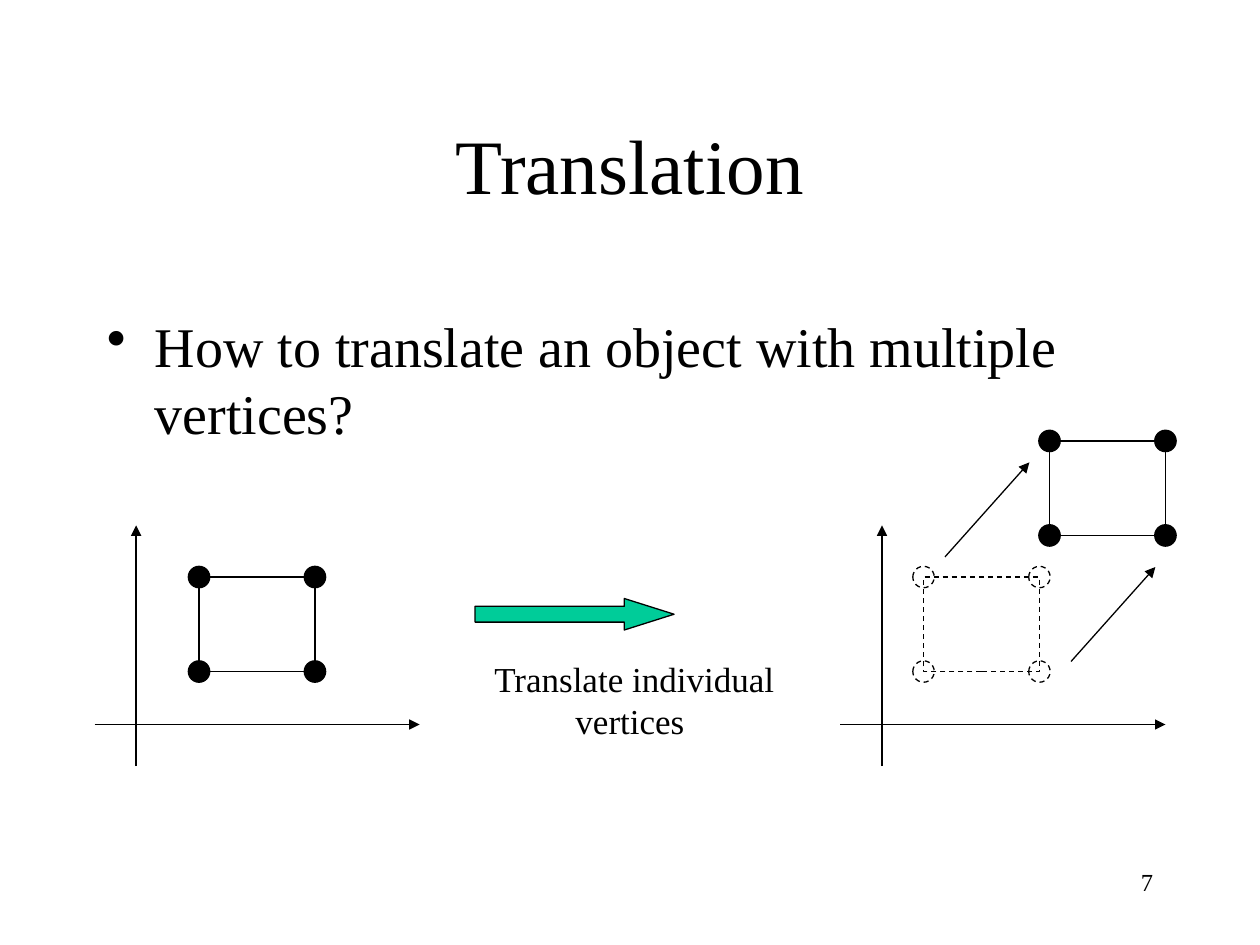
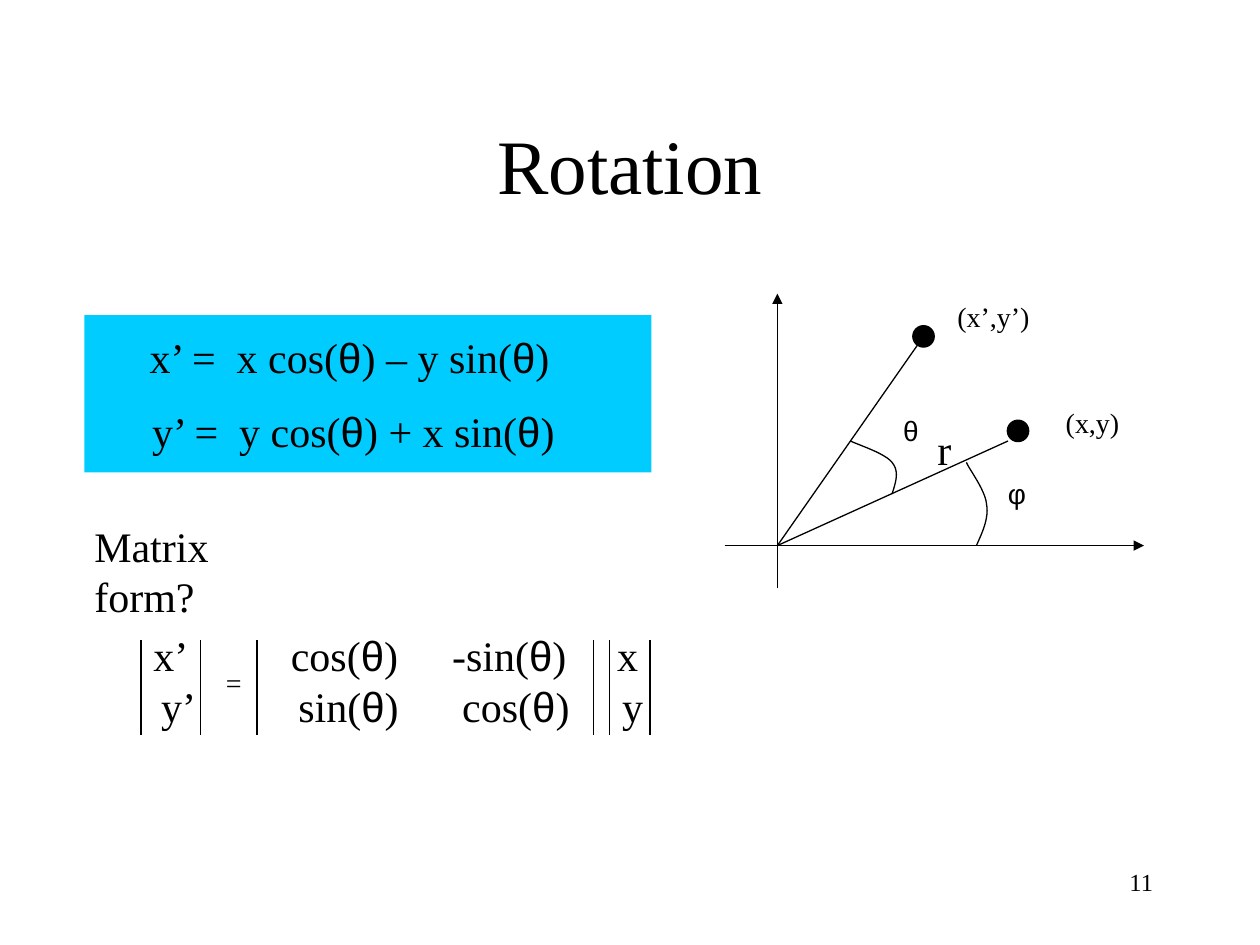
from itertools import groupby, product

from lxml import etree
from pptx import Presentation
from pptx.dml.color import RGBColor
from pptx.enum import dml, shapes, text
from pptx.oxml import ns
from pptx.util import Inches, Pt

# Shared look
BLACK = RGBColor(0x00, 0x00, 0x00)
GREEN = RGBColor(0x00, 0xCC, 0x99)
CYAN = RGBColor(0x00, 0xCC, 0xFF)
SERIF, SANS = "Times New Roman", "Arial"
GREEK = "θφ"
HAIRLINE = 0.75
DOT = 0.17
TITLE_AT = (0.75, 0.67, 8.5, 1.25)
NUMBER_AT = (7.17, 6.83, 2.08, 0.5)
LEFT, CENTER, RIGHT = (text.PP_ALIGN.LEFT, text.PP_ALIGN.CENTER,
                       text.PP_ALIGN.RIGHT)

# Translation content: squares are left, top, dashed
QUESTION = "How to translate an object with multiple vertices?"
STEP = ["Translate individual", "vertices "]
SQUARE_SIZE = (0.92, 0.75)
SQUARES = [(1.58, 4.58, False), (8.33, 3.5, False), (7.33, 4.58, True)]
AXES_LEFT_EDGES = [0.75, 6.67]
MOVES = [((7.5, 4.42), (8.17, 3.67)), ((8.5, 5.25), (9.17, 4.5))]

# Rotation content: labels are text, place, size
LABELS = [
    ("(x,y)", (8.36, 3.17, 0.68, 0.37), 16),
    ("(x’,y’)", (7.5, 2.33, 0.83, 0.37), 16),
    ("θ", (7.07, 3.23, 0.31, 0.37), 16),
    ("φ", (7.9, 3.73, 0.31, 0.37), 16),
    ("r", (7.34, 3.31, 0.31, 0.5), 24),
    ("x’ =  x cos(θ) – y sin(θ)", (1.09, 2.58, 3.54, 0.5), 24),
    ("y’ =  y cos(θ) + x sin(θ)", (1.11, 3.17, 3.56, 0.5), 24),
    ("Matrix form?", (0.65, 4.08, 1.98, 0.5), 24),
]
ORIGIN = (6.17, 4.33)
RAYS = [((8, 3.5), (8.08, 3.42)), ((7.33, 2.67), (7.33, 2.67))]  # end, dot
ANGLE_ARCS = [
    [(7.08, 3.92), (7.11, 3.83), (7.14, 3.74), (7.08, 3.67),
     (7.03, 3.6), (6.81, 3.53), (6.75, 3.5)],
    [(7.75, 4.33), (7.8, 4.22), (7.85, 4.11), (7.83, 4),
     (7.82, 3.89), (7.69, 3.72), (7.67, 3.67)],
]
MATRIX_AT = (1.0, 4.95, 4.4, 0.9)
MATRIX_ROWS = [["x’", "cos(θ)", "-sin(θ)", "x"],
               ["y’", "sin(θ)", "cos(θ)", "y"]]
MATRIX_STOPS = [[0.12, 1.21, 2.49, 3.8], [0.18, 1.27, 2.57, 3.84]]
MATRIX_BARS = [1.12, 1.59, 2.04, 4.71, 4.84, 5.16]


def inches(values):
    return [Inches(value) for value in values]


def add_xml(parent, tag, **attributes):
    return etree.SubElement(parent, ns.qn(tag), attributes)


def add_text(page, lines, at, size, align=LEFT, anchor=text.MSO_ANCHOR.TOP,
             wrap=True, bullet=False, before=0, stops=()):
    box = page.shapes.add_textbox(*inches(at))
    frame = box.text_frame
    frame.word_wrap = wrap
    frame.vertical_anchor = anchor
    lines = [lines] if isinstance(lines, str) else lines
    for index, line in enumerate(lines):
        para = frame.paragraphs[0] if index == 0 else frame.add_paragraph()
        para.alignment = align
        para.space_before = Pt(before)
        # Greek letters take the sans font
        for is_greek, letters in groupby(line, lambda char: char in GREEK):
            span = para.add_run()
            span.text = "".join(letters)
            span.font.name = SANS if is_greek else SERIF
            span.font.size = Pt(size)
            span.font.color.rgb = BLACK
        props = para._p.get_or_add_pPr()
        if bullet:
            props.set("marL", str(Inches(0.38)))
            props.set("indent", str(-Inches(0.38)))
            add_xml(props, "a:buChar", char="•")
        if stops:
            tab_list = add_xml(props, "a:tabLst")
            for stop in stops[index]:
                add_xml(tab_list, "a:tab", pos=str(Inches(stop)), algn="l")
    return box


def style(shape, fill=None, outline=True, dashed=False):
    shape.shadow.inherit = False
    if fill is None:
        shape.fill.background()
    else:
        shape.fill.solid()
        shape.fill.fore_color.rgb = fill
    if outline:
        shape.line.color.rgb = BLACK
        shape.line.width = Pt(HAIRLINE)
        if dashed:
            shape.line.dash_style = dml.MSO_LINE.DASH
    else:
        shape.line.fill.background()


def add_shape(page, kind, at, **look):
    shape = page.shapes.add_shape(kind, *inches(at))
    style(shape, **look)
    return shape


def add_line(page, start, end, arrow=False):
    line = page.shapes.add_connector(shapes.MSO_CONNECTOR.STRAIGHT,
                                     *inches((*start, *end)))
    line.line.color.rgb = BLACK
    line.line.width = Pt(HAIRLINE)
    props = line.element.spPr
    if arrow:
        add_xml(props.find(ns.qn("a:ln")), "a:tailEnd", type="triangle")
    add_xml(props, "a:effectLst")


def add_axes(page, origin, left, right, top, bottom):
    x, y = origin
    add_line(page, (left, y), (right, y), arrow=True)
    add_line(page, (x, bottom), (x, top), arrow=True)


def add_dot(page, x, y, **look):
    add_shape(page, shapes.MSO_SHAPE.OVAL,
              (x - DOT / 2, y - DOT / 2, DOT, DOT), **look)


def add_square(page, left, top, dashed):
    width, height = SQUARE_SIZE
    add_shape(page, shapes.MSO_SHAPE.RECTANGLE, (left, top, width, height),
              dashed=dashed)
    for x, y in product((left, left + width), (top, top + height)):
        add_dot(page, x, y, fill=None if dashed else BLACK, dashed=dashed)


def curve_points(controls, steps=12):
    """Sample a chain of cubic curves, three new control points each."""
    for first in range(0, len(controls) - 1, 3):
        a, b, c, d = controls[first:first + 4]
        for step in range(1, steps + 1):
            t = step / steps
            s = 1 - t
            weights = (s ** 3, 3 * s * s * t, 3 * s * t * t, t ** 3)
            yield [sum(w * v for w, v in zip(weights, axis))
                   for axis in zip(a, b, c, d)]


def add_arc(page, controls):
    builder = page.shapes.build_freeform(*inches(controls[0]))
    builder.add_line_segments([inches(point) for point in
                               curve_points(controls)], close=False)
    style(builder.convert_to_shape())


def add_page(deck, title, number):
    page = deck.slides.add_slide(deck.slide_layouts[6])
    add_text(page, title, TITLE_AT, 44, align=CENTER,
             anchor=text.MSO_ANCHOR.MIDDLE)
    add_text(page, str(number), NUMBER_AT, 14, align=RIGHT)
    return page


def build_translation(deck):
    page = add_page(deck, "Translation", 7)
    add_text(page, QUESTION, (0.75, 2.42, 8.5, 4.5), 32, bullet=True, before=8)
    for left in AXES_LEFT_EDGES:
        add_axes(page, (left + 0.33, 5.75), left, left + 2.58, 4.17, 6.08)
    for square in SQUARES:
        add_square(page, *square)
    for start, end in MOVES:
        add_line(page, start, end, arrow=True)

    # Step between the two drawings
    arrow = add_shape(page, shapes.MSO_SHAPE.RIGHT_ARROW,
                      (3.77, 4.75, 1.58, 0.25), fill=GREEN)
    arrow.adjustments[1] = 1.58
    add_text(page, STEP, (3.82, 5.17, 2.43, 0.77), 20, align=CENTER,
             wrap=False)


def build_rotation(deck):
    page = add_page(deck, "Rotation", 11)
    add_shape(page, shapes.MSO_SHAPE.RECTANGLE, (0.67, 2.5, 4.5, 1.25),
              fill=CYAN, outline=False)

    # Rotated point and its angles
    add_axes(page, ORIGIN, 5.75, 9.08, 2.33, 4.67)
    for end, dot in RAYS:
        add_line(page, ORIGIN, end)
        add_dot(page, *dot, fill=BLACK)
    for arc in ANGLE_ARCS:
        add_arc(page, arc)
    for label, at, size in LABELS:
        add_text(page, label, at, size, wrap=False)

    # Matrix form, one tab stop for each column
    rows = ["".join("\t" + cell for cell in row) for row in MATRIX_ROWS]
    add_text(page, rows, MATRIX_AT, 24, stops=MATRIX_STOPS)
    for x in MATRIX_BARS:
        add_line(page, (x, 5.08), (x, 5.83))
    add_text(page, "=", (1.61, 5.23, 0.49, 0.37), 16, align=CENTER)


def main():
    deck = Presentation()
    deck.slide_width, deck.slide_height = Inches(10), Inches(7.5)
    build_translation(deck)
    build_rotation(deck)
    deck.save("out.pptx")


if __name__ == "__main__":
    main()
